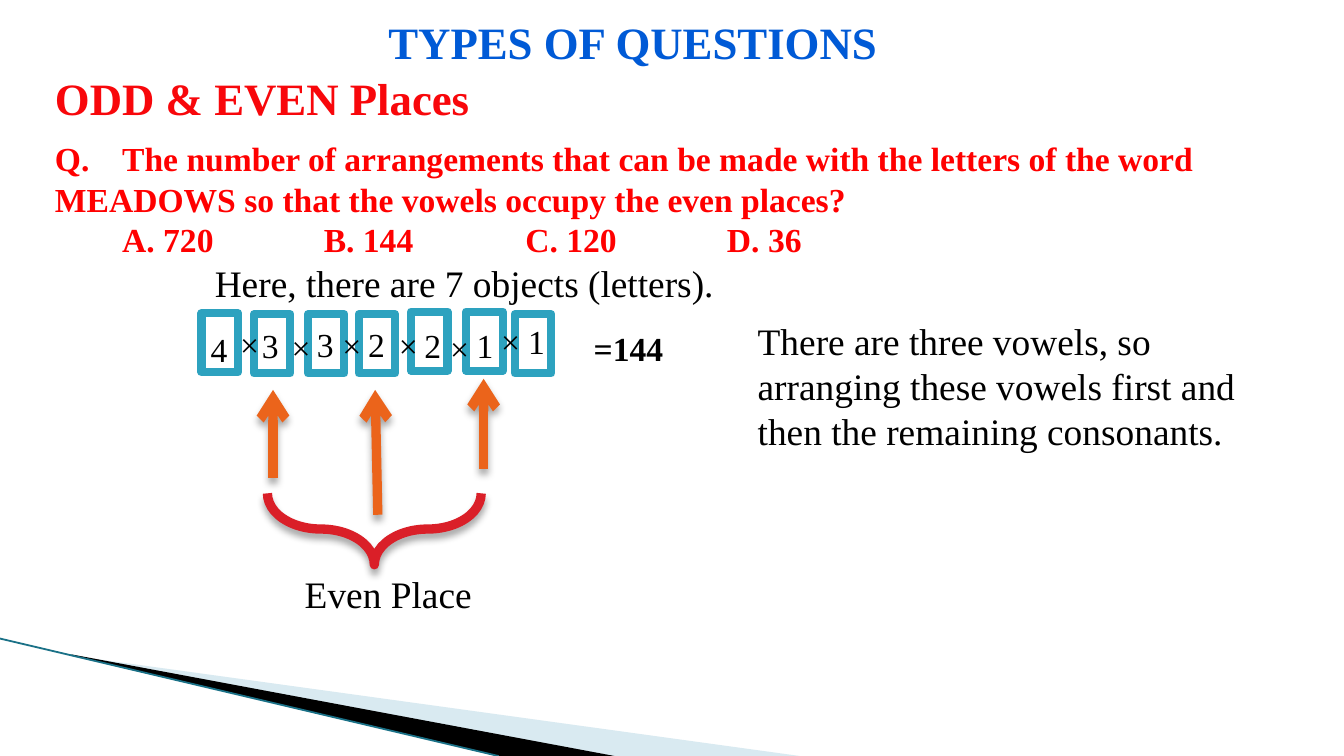
"""Build a slide on arrangements with vowels in the even places."""
from typing import NamedTuple

from lxml.etree import SubElement
from pptx import Presentation
from pptx.dml.color import RGBColor
from pptx.enum.shapes import MSO_CONNECTOR, MSO_SHAPE
from pptx.enum.text import MSO_AUTO_SIZE
from pptx.oxml.ns import qn
from pptx.util import Cm, Pt

COLORS = {
    "title": "005AD6", "heading": "F8070B", "question": "FF0000",
    "text": "000000", "white": "FFFFFF", "box": "2DA2BF",
    "arrow": "EB641B", "brace": "DA1F28", "pale": "A0CBDC",
    "black": "000000", "edge": "1A7187",
}
FONT = "Times New Roman"


class Label(NamedTuple):
    x: float
    y: float
    w: float
    h: float
    lines: tuple[str, ...]
    size: int = 20
    color: str = "text"
    bold: bool = False
    wrap: bool = True


class Place(NamedTuple):
    x: float
    y: float
    digit: str
    digit_x: float
    digit_y: float


class Arrow(NamedTuple):
    x1: float
    y1: float
    x2: float
    y2: float


class Wedge(NamedTuple):
    color: str
    points: tuple[tuple[float, float], ...]
    alpha: int = 100


LABELS = (
    Label(7.09, 0.15, 10.06, 1.27, ("TYPES OF QUESTIONS",), 24, "title", True, False),
    Label(0.79, 1.22, 8.64, 1.27, ("ODD & EVEN Places",), 24, "heading", True, False),
    Label(0.79, 2.49, 23.77, 2.57, (
        "Q.\tThe number of arrangements that can be made with the letters of the word "
        "MEADOWS so that the vowels occupy the even places?",
        "\tA. 720\t\tB. 144\t\tC. 120\t\tD. 36",
    ), 18, "question", True),
    Label(3.81, 4.8, 10.26, 1.12, ("Here, there are 7 objects (letters).",)),
    Label(5.51, 10.67, 4.01, 1.12, ("Even Place",)),
    Label(14.07, 5.89, 9.63, 2.82, (
        "There are three vowels, so arranging these vowels first and "
        "then the remaining consonants.",
    )),
    Label(10.97, 6.07, 1.83, 1.02, ("=144",), 18, bold=True, wrap=False),
)
PLACES = (
    Place(3.81, 5.92, "4", 3.73, 6.1),
    Place(4.8, 5.94, "3", 4.7, 6.02),
    Place(5.82, 5.94, "3", 5.74, 5.99),
    Place(6.78, 5.94, "2", 6.71, 5.99),
    Place(7.77, 5.89, "2", 7.77, 6.02),
    Place(8.81, 5.89, "1", 8.76, 6.02),
    Place(9.73, 5.94, "1", 9.73, 5.94),
)
TIMES_SIGNS = ((4.29, 5.99), (5.26, 6.05), (6.22, 6.02),
               (7.29, 6.02), (8.26, 6.07), (9.22, 5.94))
ARROWS = (Arrow(5.16, 9.04, 5.16, 7.37), Arrow(7.14, 9.73, 7.09, 7.37),
          Arrow(9.14, 8.86, 9.14, 7.16))
WEDGES = (
    Wedge("pale", ((1.4, 12.4), (15.11, 14.29), (11.58, 14.29)), 40),
    Wedge("black", ((1.35, 12.37), (11.61, 14.29), (9.45, 14.29), (1.37, 12.4))),
)


def rgb(name: str) -> RGBColor:
    """Look up a colour by name."""
    return RGBColor.from_string(COLORS[name])


def set_shadow(sp, visible: bool) -> None:
    """Give a shape a soft shadow below, or none."""
    effects = SubElement(sp._element.spPr, qn("a:effectLst"))
    if visible:
        shadow = SubElement(effects, qn("a:outerShdw"), blurRad=str(Pt(4)),
                            dist=str(Pt(3)), dir="5400000", rotWithShape="0")
        color = SubElement(shadow, qn("a:srgbClr"), val=COLORS["black"])
        SubElement(color, qn("a:alpha"), val="35000")


def add_label(s, label: Label) -> None:
    """Add a text box with one paragraph per line."""
    sp = s.shapes.add_textbox(Cm(label.x), Cm(label.y), Cm(label.w), Cm(label.h))
    tf = sp.text_frame
    tf.word_wrap = label.wrap
    tf.auto_size = MSO_AUTO_SIZE.SHAPE_TO_FIT_TEXT
    for i, line in enumerate(label.lines):
        p = tf.add_paragraph() if i else tf.paragraphs[0]
        r = p.add_run()
        r.text = line
        r.font.name = FONT
        r.font.size = Pt(label.size)
        r.font.bold = label.bold
        r.font.color.rgb = rgb(label.color)


def add_wedge(s, wedge: Wedge) -> None:
    """Add a filled corner wedge."""
    points = [(Cm(x), Cm(y)) for x, y in wedge.points]
    builder = s.shapes.build_freeform(*points[0])
    builder.add_line_segments(points[1:], close=True)
    sp = builder.convert_to_shape()
    sp.shadow.inherit = False
    sp.fill.solid()
    sp.fill.fore_color.rgb = rgb(wedge.color)
    sp.line.fill.background()
    if wedge.alpha < 100:
        color = sp._element.spPr.find(f"{qn('a:solidFill')}/{qn('a:srgbClr')}")
        SubElement(color, qn("a:alpha"), val=str(wedge.alpha * 1000))


def add_box(s, place: Place) -> None:
    """Add the frame of one letter place."""
    sp = s.shapes.add_shape(MSO_SHAPE.RECTANGLE, Cm(place.x), Cm(place.y), Cm(0.69), Cm(1.12))
    sp.shadow.inherit = False
    sp.fill.solid()
    sp.fill.fore_color.rgb = rgb("white")
    sp.line.color.rgb = rgb("box")
    sp.line.width = Pt(4.33)


def add_line(s, line: Arrow, color: str, width: float, head: bool) -> None:
    """Add a straight line, with a head and shadow if it is an arrow."""
    sp = s.shapes.add_connector(MSO_CONNECTOR.STRAIGHT, *(Cm(v) for v in line))
    sp.line.color.rgb = rgb(color)
    sp.line.width = Pt(width)
    if head:
        SubElement(sp.line._get_or_add_ln(), qn("a:tailEnd"), type="arrow")
    set_shadow(sp, head)


def add_brace(s) -> None:
    """Add the brace that gathers the even places."""
    sp = s.shapes.add_shape(MSO_SHAPE.LEFT_BRACE, Cm(6.4), Cm(7.98), Cm(1.35), Cm(4.04))
    sp.rotation = 270
    sp.adjustments[0] = 0.85
    sp.adjustments[1] = 0.5
    sp.fill.background()
    sp.line.color.rgb = rgb("brace")
    sp.line.width = Pt(5)
    set_shadow(sp, True)


def main() -> None:
    """Draw the slide and save it."""
    prs = Presentation()
    prs.slide_width, prs.slide_height = Cm(25.4), Cm(14.29)
    s = prs.slides.add_slide(prs.slide_layouts[6])
    for wedge in WEDGES:
        add_wedge(s, wedge)
    add_line(s, Arrow(0, 12.07, 9.42, 14.29), "edge", 0.95, False)
    for place in PLACES:
        add_box(s, place)
    for arrow in ARROWS:
        add_line(s, arrow, "arrow", 5, True)
    add_brace(s)
    for label in LABELS:
        add_label(s, label)
    for place in PLACES:
        add_label(s, Label(place.digit_x, place.digit_y, 0.84, 1.02,
                           (place.digit,), 18, wrap=False))
    for x, y in TIMES_SIGNS:
        add_label(s, Label(x, y, 0.86, 1.02, ("×",), 18, wrap=False))
    prs.save("out.pptx")


if __name__ == "__main__":
    main()
